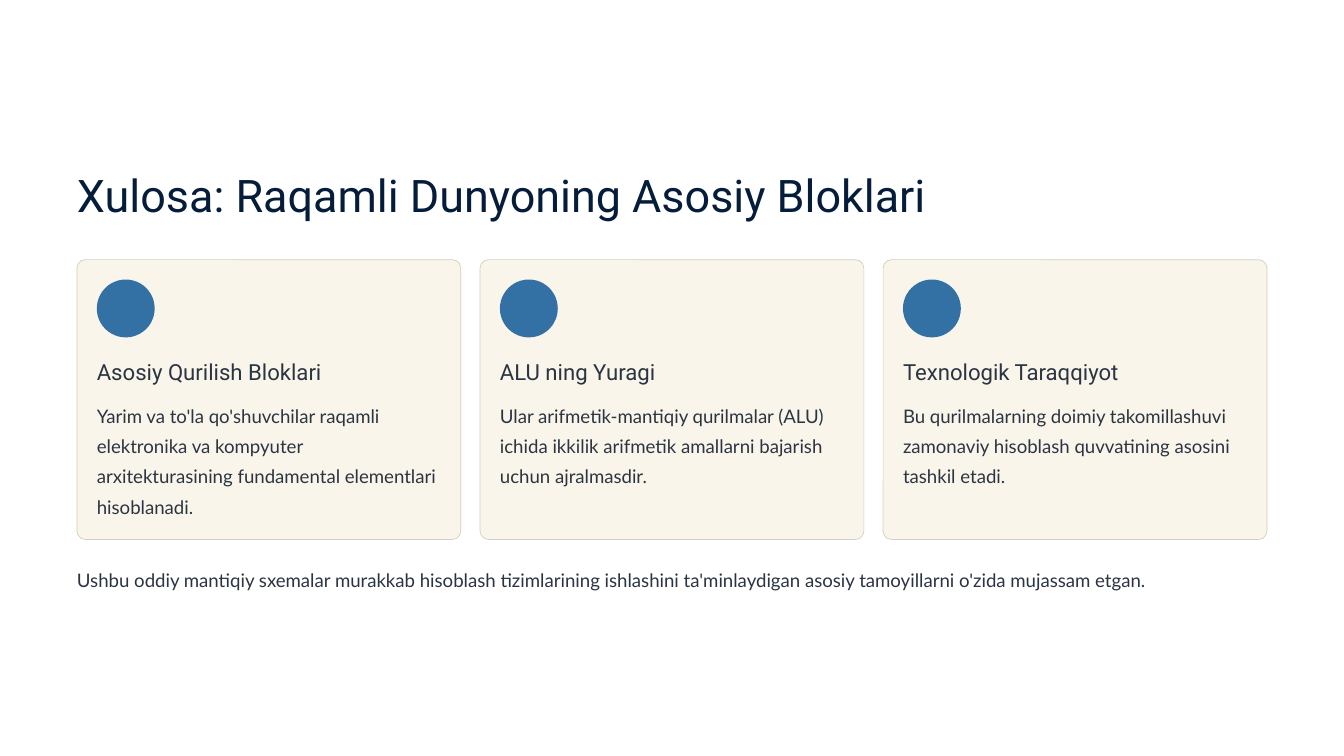
from pptx import Presentation
from pptx.dml.color import RGBColor
from pptx.enum import shapes
from pptx.util import Pt

TITLE = "Xulosa: Raqamli Dunyoning Asosiy Bloklari"
CARDS = [
    ("Asosiy Qurilish Bloklari",
     "Yarim va to'la qo'shuvchilar raqamli elektronika va kompyuter "
     "arxitekturasining fundamental elementlari hisoblanadi."),
    ("ALU ning Yuragi",
     "Ular arifmetik-mantiqiy qurilmalar (ALU) ichida ikkilik arifmetik "
     "amallarni bajarish uchun ajralmasdir."),
    ("Texnologik Taraqqiyot",
     "Bu qurilmalarning doimiy takomillashuvi zamonaviy hisoblash "
     "quvvatining asosini tashkil etadi."),
]
CLOSING = ("Ushbu oddiy mantiqiy sxemalar murakkab hisoblash tizimlarining ishlashini "
           "ta'minlaydigan asosiy tamoyillarni o'zida mujassam etgan.")

COLORS = {"title": "051D3A", "text": "2B3541", "card": "FAF5EB",
          "border": "D5CDBE", "dot": "3371A5"}
HEADING = {"font": "Roboto", "size": 19, "leading": 24}
BODY = {"font": "Lato", "size": 16, "leading": 26}

MARGIN, CONTENT_WIDTH = 66, 1020
CARD_TOP, CARD_WIDTH, CARD_HEIGHT = 222.6, 329, 239.8
PADDING, DOT_SIZE = 17, 49.6
CARD_STEP = (CONTENT_WIDTH - CARD_WIDTH) / (len(CARDS) - 1)


def add_text(page, content, left, top, width, height, *, font, size, leading, color="text"):
    box = page.shapes.add_textbox(Pt(left), Pt(top), Pt(width), Pt(height))
    frame = box.text_frame
    frame.word_wrap = True
    frame.margin_left = frame.margin_right = frame.margin_top = frame.margin_bottom = 0
    para = frame.paragraphs[0]
    para.line_spacing = Pt(leading)
    span = para.add_run()
    span.text = content
    span.font.name = font
    span.font.size = Pt(size)
    span.font.color.rgb = RGBColor.from_string(COLORS[color])


def add_panel(page, kind, left, top, width, height, fill, border=None):
    panel = page.shapes.add_shape(kind, Pt(left), Pt(top), Pt(width), Pt(height))
    panel.shadow.inherit = False
    panel.fill.solid()
    panel.fill.fore_color.rgb = RGBColor.from_string(COLORS[fill])
    if border:
        panel.line.color.rgb = RGBColor.from_string(COLORS[border])
        panel.line.width = Pt(0.6)
    else:
        panel.line.fill.background()
    return panel


def add_card(page, left, heading, body):
    card = add_panel(page, shapes.MSO_SHAPE.ROUNDED_RECTANGLE, left, CARD_TOP,
                     CARD_WIDTH, CARD_HEIGHT, "card", "border")
    card.adjustments[0] = 0.03
    inner_left, inner_width = left + PADDING, CARD_WIDTH - 2 * PADDING
    add_panel(page, shapes.MSO_SHAPE.OVAL, inner_left, CARD_TOP + PADDING,
              DOT_SIZE, DOT_SIZE, "dot")
    add_text(page, heading, inner_left, 305.6, inner_width, 24, **HEADING)
    add_text(page, body, inner_left, 340, inner_width, 106, **BODY)


def main():
    deck = Presentation()
    deck.slide_width, deck.slide_height = Pt(1152), Pt(648)
    page = deck.slides.add_slide(deck.slide_layouts[6])
    add_text(page, TITLE, MARGIN, 141.4, CONTENT_WIDTH, 48,
             font="Roboto", size=38.5, leading=48.5, color="title")
    for index, (heading, body) in enumerate(CARDS):
        add_card(page, MARGIN + index * CARD_STEP, heading, body)
    add_text(page, CLOSING, MARGIN, 481, CONTENT_WIDTH, 26.5, **BODY)
    deck.save("out.pptx")


if __name__ == "__main__":
    main()
